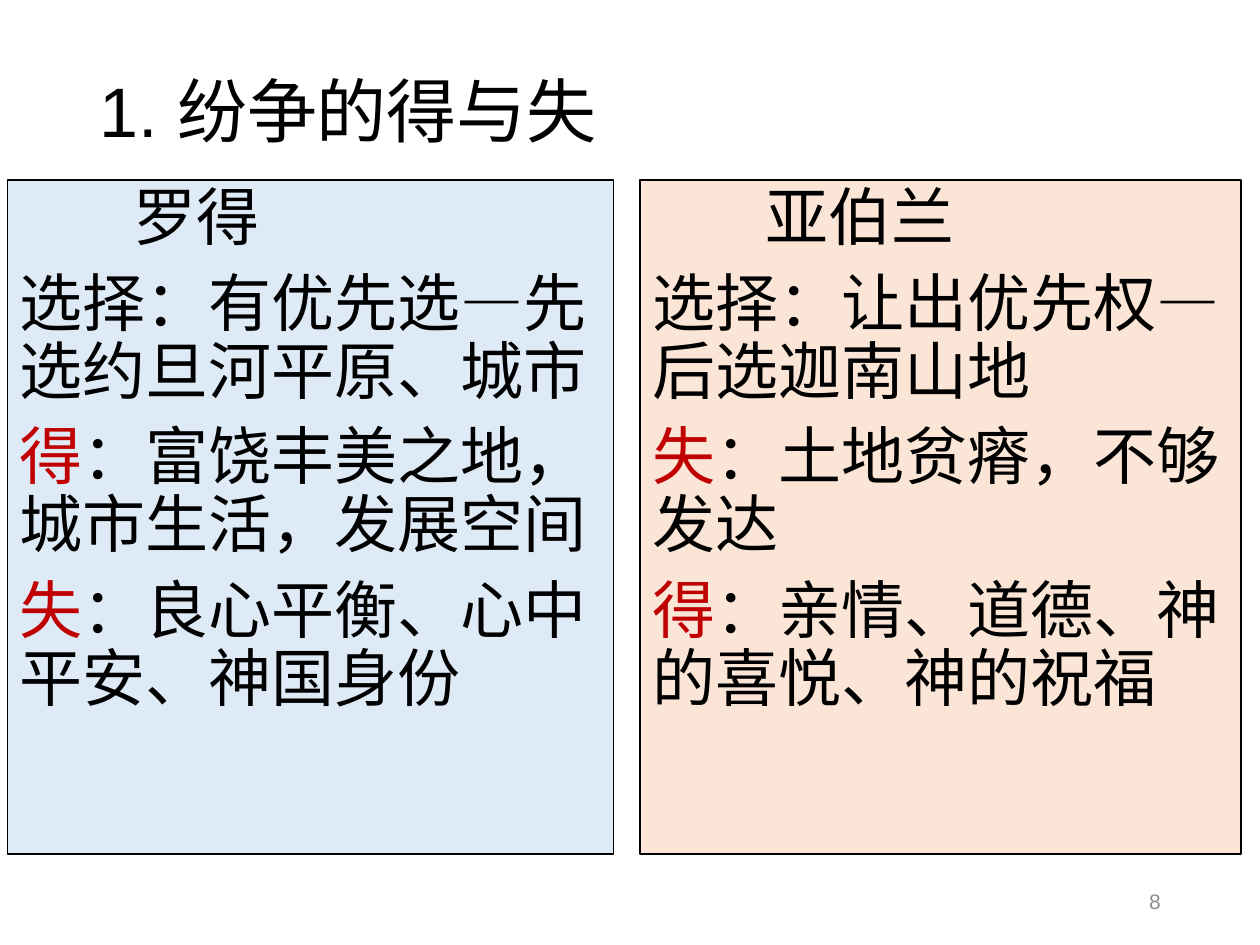
"""Build a slide comparing what Lot and Abraham gained and lost in their dispute."""
from pptx import Presentation
from pptx.dml.color import RGBColor
from pptx.enum.shapes import MSO_SHAPE
from pptx.enum.text import MSO_ANCHOR, PP_ALIGN
from pptx.util import Cm, Pt

BLACK = RGBColor(0x00, 0x00, 0x00)
RED = RGBColor(0xC0, 0x00, 0x00)
GRAY = RGBColor(0x8C, 0x8C, 0x8C)
BLUE_TINT = RGBColor(0xDE, 0xEB, 0xF7)
ORANGE_TINT = RGBColor(0xFB, 0xE5, 0xD6)

TITLE = "1. 纷争的得与失"
PAGE_NUMBER = "8"
PANELS = [
    {"name": "罗得", "fill": BLUE_TINT, "left": 0.15, "width": 12.22,
     "points": [("", "选择：有优先选—先选约旦河平原、城市"),
                ("得", "：富饶丰美之地，城市生活，发展空间"),
                ("失", "：良心平衡、心中平安、神国身份")]},
    {"name": "亚伯兰", "fill": ORANGE_TINT, "left": 12.9, "width": 12.12,
     "points": [("", "选择：让出优先权—后选迦南山地"),
                ("失", "：土地贫瘠，不够发达"),
                ("得", "：亲情、道德、神的喜悦、神的祝福")]},
]
PANEL_TOP, PANEL_HEIGHT = 3.63, 13.59
NAME_INDENT = Cm(2.29)
BODY_FORMAT = {"alignment": PP_ALIGN.LEFT, "line_spacing": 0.9, "space_before": Pt(10)}


def set_format(target, values):
    for name, value in values.items():
        setattr(target, name, value)


def add_run(p, text, size, color):
    r = p.add_run()
    r.text = text
    set_format(r.font, {"name": "Arial", "size": Pt(size)})
    r.font.color.rgb = color


def place(sp, left, top, width, height):
    set_format(sp, {"left": Cm(left), "top": Cm(top),
                    "width": Cm(width), "height": Cm(height)})


def add_panel(s, panel):
    sp = s.shapes.add_shape(MSO_SHAPE.RECTANGLE, Cm(panel["left"]), Cm(PANEL_TOP),
                            Cm(panel["width"]), Cm(PANEL_HEIGHT))
    sp.shadow.inherit = False
    sp.fill.solid()
    sp.fill.fore_color.rgb = panel["fill"]
    sp.line.color.rgb = BLACK
    sp.line.width = Pt(0.75)
    tf = sp.text_frame
    set_format(tf, {"word_wrap": True, "vertical_anchor": MSO_ANCHOR.TOP})
    for i, (label, text) in enumerate([("", panel["name"])] + panel["points"]):
        p = tf.add_paragraph() if i else tf.paragraphs[0]
        set_format(p, BODY_FORMAT)
        if label:
            add_run(p, label, 36, RED)
        add_run(p, text, 36, BLACK)
    tf.paragraphs[0]._p.get_or_add_pPr().set("indent", str(NAME_INDENT))


def main():
    prs = Presentation()
    set_format(prs, {"slide_width": Cm(25.4), "slide_height": Cm(19.05)})
    s = prs.slides.add_slide(prs.slide_layouts[5])

    title = s.shapes.title
    place(title, 1.75, 1.02, 21.9, 2.57)
    title.text_frame.vertical_anchor = MSO_ANCHOR.MIDDLE
    p = title.text_frame.paragraphs[0]
    set_format(p, {"alignment": PP_ALIGN.LEFT, "line_spacing": 0.9})
    add_run(p, TITLE, 40, BLACK)

    for panel in PANELS:
        add_panel(s, panel)

    number = s.shapes.add_textbox(Cm(17.93), Cm(17.65), Cm(5.72), Cm(1.02))
    set_format(number.text_frame, {"word_wrap": True, "vertical_anchor": MSO_ANCHOR.MIDDLE})
    p = number.text_frame.paragraphs[0]
    p.alignment = PP_ALIGN.RIGHT
    add_run(p, PAGE_NUMBER, 12, GRAY)

    prs.save("out.pptx")


if __name__ == "__main__":
    main()
